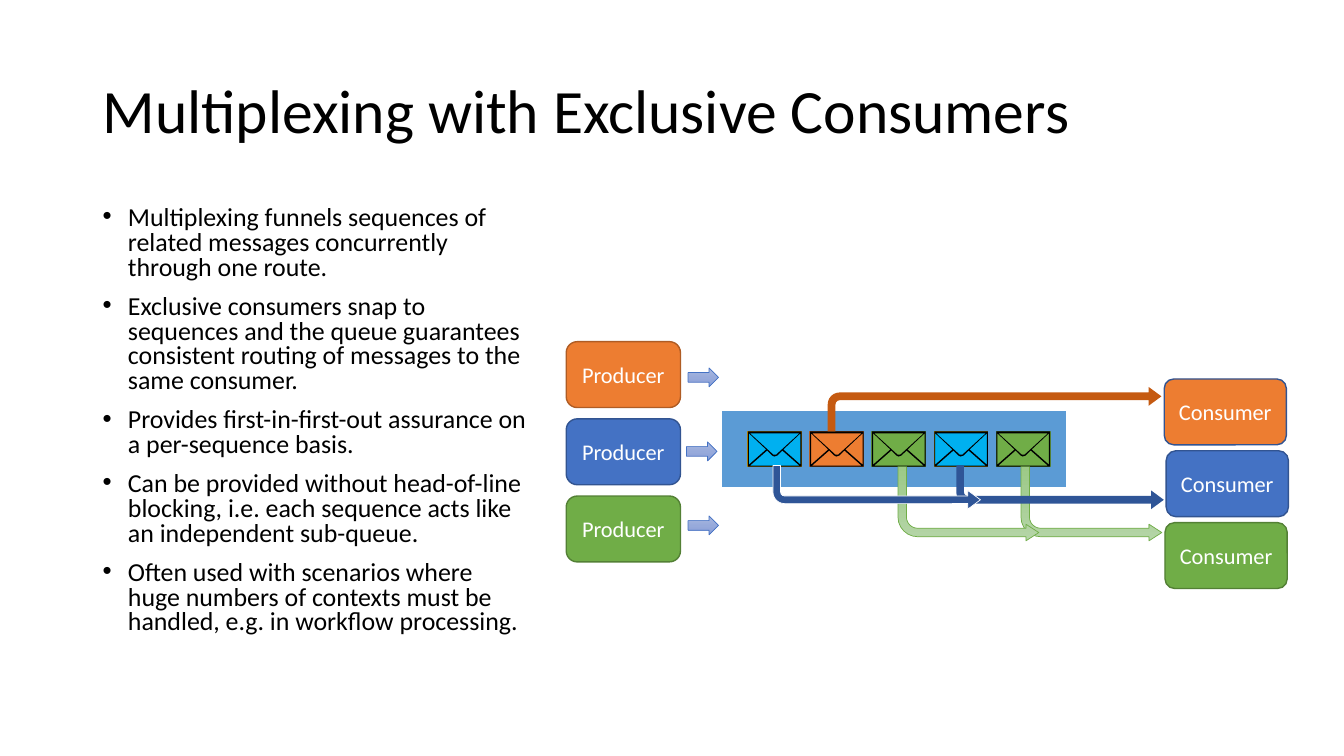
from pptx import Presentation
from pptx.dml.color import RGBColor
from pptx.enum.shapes import MSO_SHAPE
from pptx.enum.text import MSO_ANCHOR, MSO_AUTO_SIZE, PP_ALIGN
from pptx.util import Cm, Pt

COLORS = {
    "black": "000000", "white": "FFFFFF", "queue": "5B9BD5",
    "orange": "ED7D31", "orange_edge": "AF5C24", "orange_route": "C55A11",
    "blue": "4472C4", "blue_edge": "325491", "blue_route": "2F5597",
    "green": "70AD47", "green_edge": "538035",
    "green_light": "B5D5A7", "green_dark": "9CC987",
    "cyan": "00B0F0", "cyan_edge": "BD8E00",
    "arrow_light": "A8B7DF", "arrow_dark": "889ED7",
}
FONT = "Calibri"
BULLETS = [
    "Multiplexing funnels sequences of related messages concurrently through one route.",
    "Exclusive consumers snap to sequences and the queue guarantees consistent routing of messages to the same consumer.",
    "Provides first-in-first-out assurance on a per-sequence basis.",
    "Can be provided without head-of-line blocking, i.e. each sequence acts like an independent sub-queue.",
    "Often used with scenarios where huge numbers of contexts must be handled, e.g. in workflow processing.",
]
ENVELOPE_OUTLINES = [
    [(0, 0), (0, 35), (53, 35), (53, 0)],
    [(2, 2), (25, 23), (28, 23), (51, 2)],
    [(1, 2), (18, 18), (1, 33)],
    [(52, 2), (35, 18), (52, 33)],
    [(19, 19), (24, 24), (26.5, 25), (29, 24), (34, 19), (51, 34), (2, 34)],
]
GREEN_BEND = (0.114, 0.112, 0.173, 0.267)
THIN_BEND = (0.175, 0.213, 0.289, 0.267)


def rgb(name):
    return RGBColor.from_string(COLORS[name])


def place(sp, box):
    sp.left, sp.top, sp.width, sp.height = [Cm(v) for v in box]


def format_text(p, size, color):
    for r in p.runs:
        r.font.name = FONT
        r.font.size = Pt(size)
        r.font.color.rgb = rgb(color)


def add_block(shapes, kind, box, fill, edge=None, weight=1, adjust=()):
    sp = shapes.add_shape(kind, *[Cm(v) for v in box])
    sp.shadow.inherit = False
    if isinstance(fill, tuple):
        sp.fill.gradient()
        sp.fill.gradient_angle = 270
        for stop, name in zip(sp.fill.gradient_stops, fill):
            stop.color.rgb = rgb(name)
    else:
        sp.fill.solid()
        sp.fill.fore_color.rgb = rgb(fill)
    if edge:
        sp.line.color.rgb = rgb(edge)
        sp.line.width = Pt(weight)
    else:
        sp.line.fill.background()
    for i, value in enumerate(adjust):
        sp.adjustments[i] = value
    return sp


def add_title(s, box):
    sp = s.shapes.title
    place(sp, box)
    tf = sp.text_frame
    tf.text = "Multiplexing with Exclusive Consumers"
    tf.auto_size = MSO_AUTO_SIZE.NONE
    tf.vertical_anchor = MSO_ANCHOR.MIDDLE
    p = tf.paragraphs[0]
    p.alignment = PP_ALIGN.LEFT
    p.line_spacing = 0.9
    format_text(p, 44, "black")


def add_bullets(s, box):
    sp = s.placeholders[1]
    place(sp, box)
    tf = sp.text_frame
    tf.text = "\n".join(BULLETS)
    tf.auto_size = MSO_AUTO_SIZE.NONE
    for i, p in enumerate(tf.paragraphs):
        p.line_spacing = 0.8
        p.space_before = Pt(10 if i else 0)
        pPr = p._p.get_or_add_pPr()
        pPr.set("marL", str(Cm(0.64)))
        pPr.set("indent", str(Cm(-0.64)))
        format_text(p, 18.5, "black")


def add_envelope(s, box, color):
    left, top, width, height = box
    group = s.shapes.add_group_shape()
    add_block(group.shapes, MSO_SHAPE.RECTANGLE, box, color, color + "_edge")
    first, *rest = ENVELOPE_OUTLINES
    builder = group.shapes.build_freeform(*first[0], scale=Cm(width) / 53)
    builder.add_line_segments(first[1:])
    for outline in rest:
        builder.move_to(*outline[0])
        builder.add_line_segments(outline[1:])
    sp = builder.convert_to_shape(Cm(left), Cm(top))
    sp.height = Cm(height)
    sp.shadow.inherit = False
    sp.fill.solid()
    sp.fill.fore_color.rgb = rgb("black")
    sp.line.fill.background()


def add_queue(s, box):
    left, top = box[:2]
    add_block(s.shapes, MSO_SHAPE.RECTANGLE, box, "queue", "white", 1.5)
    for i, color in enumerate(["cyan", "orange", "green", "cyan", "green"]):
        add_envelope(s, (left + 0.67 + i * 1.565, top + 0.53, 1.35, 0.89), color)


def add_clients(s, box, label, pitch, shifts, edges, radius):
    left, top, width, height = box
    for i, color in enumerate(["orange", "blue", "green"]):
        sp = add_block(s.shapes, MSO_SHAPE.ROUNDED_RECTANGLE,
                       (left + shifts[i], top + i * pitch, width, height),
                       color, edges[i] + "_edge", adjust=[radius])
        tf = sp.text_frame
        tf.text = label
        tf.vertical_anchor = MSO_ANCHOR.MIDDLE
        p = tf.paragraphs[0]
        p.alignment = PP_ALIGN.CENTER
        format_text(p, 16, "white")


def add_send_arrows(s, box):
    left, top, width, height = box
    for i, shift in enumerate([0, -0.04, 0]):
        add_block(s.shapes, MSO_SHAPE.RIGHT_ARROW,
                  (left + shift, top + i * 1.865, width, height),
                  ("arrow_light", "arrow_dark"), "blue", 0.5)


def add_routes(s, box):
    left, top = box[:2]
    green = ("green_light", "green_dark")
    routes = [
        (7.55, 1.42, 3.55, 1.87, green, "green", GREEN_BEND, True),
        (4.45, 1.42, 3.55, 1.87, green, "green", GREEN_BEND, True),
        (5.92, 1.39, 5.23, 1.1, "blue_route", None, THIN_BEND, True),
        (2.68, -0.59, 8.41, 1.12, "orange_route", None, THIN_BEND, False),
        (1.3, 1.39, 5.23, 1.1, "blue_route", "white", THIN_BEND, True),
    ]
    for x, y, width, height, fill, edge, bend, flipped in routes:
        sp = add_block(s.shapes, MSO_SHAPE.BENT_ARROW,
                       (left + x, top + y, width, height), fill, edge, 0.5, bend)
        if flipped:
            sp._element.spPr.get_or_add_xfrm().set("flipV", "1")


def main():
    prs = Presentation()
    prs.slide_width, prs.slide_height = Cm(33.87), Cm(19.05)
    s = prs.slides.add_slide(prs.slide_layouts[1])
    queue_box = (18.18, 10.34, 8.72, 1.95)
    add_title(s, (2.33, 1.01, 29.21, 3.68))
    add_bullets(s, (2.33, 5.08, 11.22, 12.08))
    add_queue(s, queue_box)
    add_clients(s, (14.27, 8.61, 2.88, 1.66), "Producer", 1.945,
                (0, 0, 0), ("orange", "blue", "green"), 0.167)
    add_clients(s, (29.34, 9.55, 3.08, 1.66), "Consumer", 1.81,
                (0, 0.05, 0.02), ("blue", "blue", "green"), 0.146)
    add_send_arrows(s, (17.34, 9.27, 0.77, 0.48))
    add_routes(s, queue_box)
    prs.save("out.pptx")


if __name__ == "__main__":
    main()
